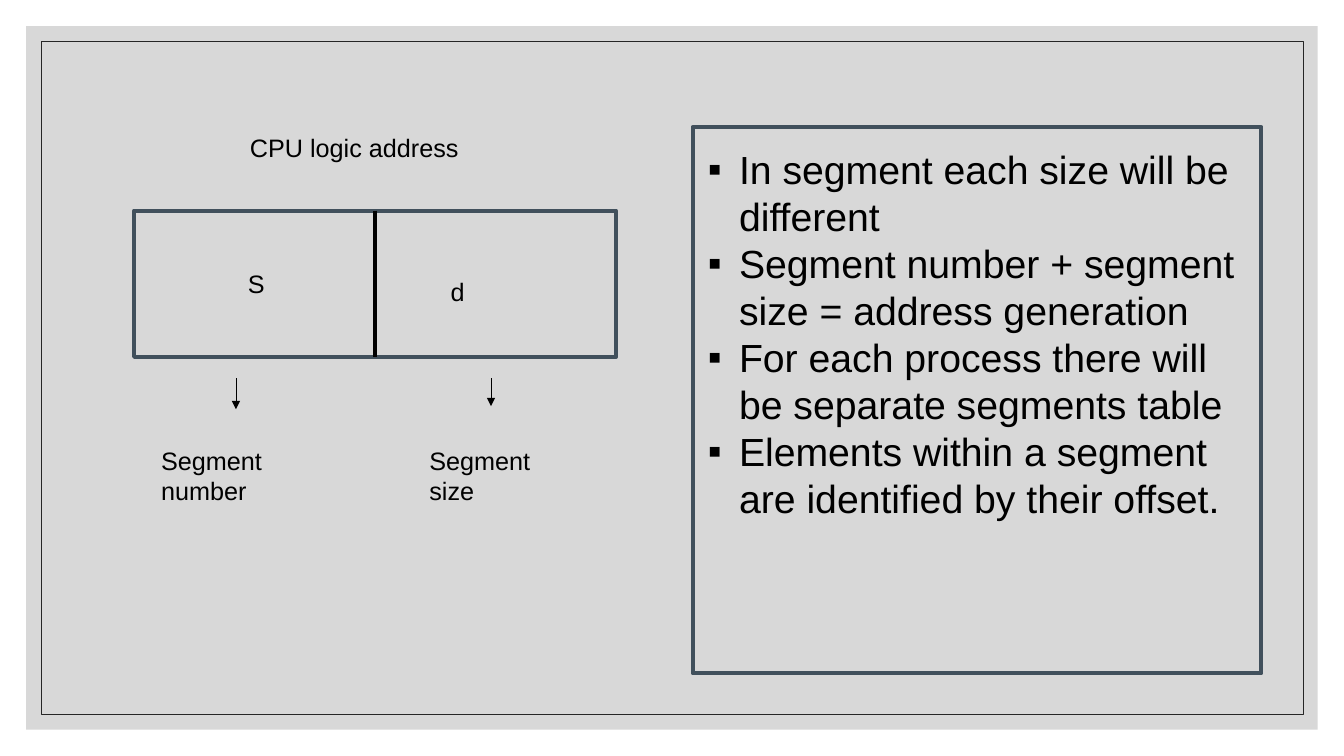
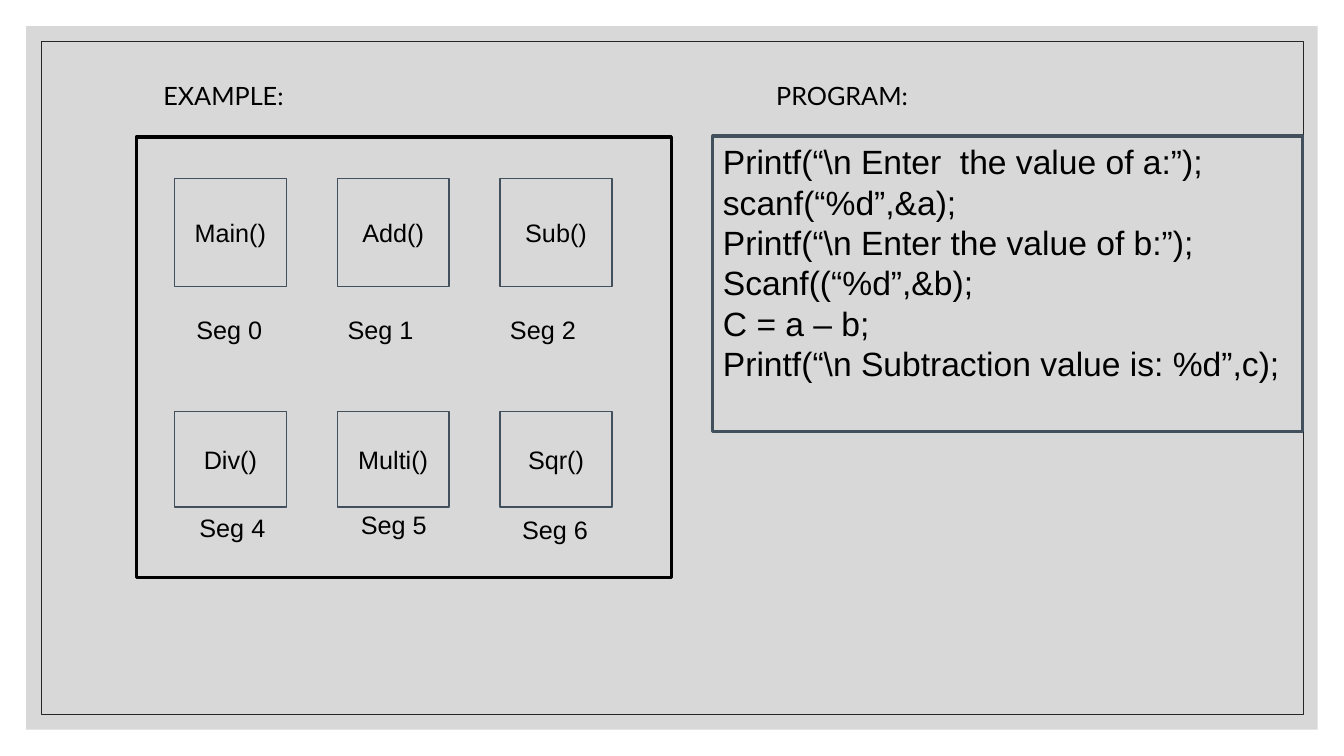
from lxml.etree import SubElement
from pptx import Presentation
from pptx.dml.color import RGBColor
from pptx.enum.shapes import MSO_CONNECTOR as Connector, MSO_SHAPE as Preset
from pptx.enum.text import MSO_ANCHOR as Anchor, MSO_AUTO_SIZE as AutoSize, PP_ALIGN as Align
from pptx.oxml.ns import qn
from pptx.util import Inches, Pt

COLORS = {"panel": "BFBFBF", "frame": "262626", "outline": "41505C", "text": "000000"}
BASE_FONT = "Lato"
TEXT_FONT = "Arial"


def color(name):
    return RGBColor.from_string(COLORS[name])


def inches(*lengths):
    return [Inches(length) for length in lengths]


def write_text(shape, lines, size=18, font=TEXT_FONT, align=Align.LEFT,
               anchor=Anchor.TOP, bullet=None, indent=0):
    frame = shape.text_frame
    frame.word_wrap = True
    frame.auto_size = AutoSize.NONE
    frame.vertical_anchor = anchor
    frame.text = "\n".join(lines)
    for paragraph in frame.paragraphs:
        paragraph.alignment = align
        paragraph.space_before = paragraph.space_after = Pt(0)
        paragraph.font.size = Pt(size)
        for run in paragraph.runs:
            run.font.size = Pt(size)
            run.font.name = font
            run.font.color.rgb = color("text")
        properties = paragraph._p.get_or_add_pPr()
        properties.set("marL", str(Inches(indent)))
        properties.set("indent", str(-Inches(indent)))
        mark = properties.makeelement(qn("a:buChar" if bullet else "a:buNone"))
        if bullet:
            mark.set("char", bullet)
        properties.insert_element_before(mark, "a:tabLst", "a:defRPr", "a:extLst")


class Deck:
    def __init__(self):
        self.presentation = Presentation()
        self.presentation.slide_width, self.presentation.slide_height = inches(13.33, 7.5)
        self.layout = self.presentation.slide_layouts[1]
        self.slide = None
        for part in (self.presentation, self.presentation.slide_master):
            for latin in part.element.xpath(".//a:latin"):
                latin.set("typeface", BASE_FONT)

    def add_slide(self):
        self.slide = self.presentation.slides.add_slide(self.layout)
        if len(self.presentation.slides) == 1:
            self.decorate_layout()

    def decorate_layout(self):
        panel = self.box(0.26, 0.26, 12.81, 6.98, line=None, fill="panel")
        alpha = SubElement(panel.element.xpath(".//a:solidFill/a:srgbClr")[0], qn("a:alpha"))
        alpha.set("val", "60000")
        frame = self.box(0.41, 0.41, 12.52, 6.68, line="frame", width=0.5)
        for position, shape in enumerate((panel, frame)):
            shape.element.xpath(".//p:cNvPr")[0].set("id", str(101 + position))
            self.layout.shapes.element.insert(2 + position, shape.element)

    def box(self, left, top, wide, high, line="outline", width=1.0, fill=None, text=None):
        shape = self.slide.shapes.add_shape(Preset.RECTANGLE, *inches(left, top, wide, high))
        shape.shadow.inherit = False
        if fill:
            shape.fill.solid()
            shape.fill.fore_color.rgb = color(fill)
        else:
            shape.fill.background()
        if line:
            shape.line.color.rgb = color(line)
            shape.line.width = Pt(width)
        else:
            shape.line.fill.background()
        if text:
            write_text(shape, [text], align=Align.CENTER, anchor=Anchor.MIDDLE)
        return shape

    def label(self, text, left, top, wide, high=0.4, **style):
        shape = self.slide.shapes.add_textbox(*inches(left, top, wide, high))
        write_text(shape, [text], **style)

    def placeholder(self, index, lines, left, top, wide, high, **style):
        shape = self.slide.placeholders[index]
        shape.left, shape.top, shape.width, shape.height = inches(left, top, wide, high)
        write_text(shape, lines, **style)

    def remove_title(self):
        title = self.slide.shapes.title.element
        title.getparent().remove(title)

    def connector(self, start, end, width=0.5, arrow=False):
        line = self.slide.shapes.add_connector(Connector.STRAIGHT, *inches(*start, *end))
        line.line.color.rgb = color("text")
        line.line.width = Pt(width)
        if arrow:
            SubElement(line.line._get_or_add_ln(), qn("a:tailEnd")).set("type", "triangle")
        SubElement(line.element.spPr, qn("a:effectLst"))
        return line


def build_address_slide(deck):
    deck.add_slide()
    deck.remove_title()
    address = deck.box(1.33, 2.09, 4.78, 1.45, width=3)
    divider = deck.connector((3.72, 2.09), (3.72, 3.54), width=2.25)
    divider.begin_connect(address, 0)
    divider.end_connect(address, 2)
    deck.label("CPU logic address", 2.38, 1.26, 4.28)
    deck.label("S", 2.36, 2.61, 1)
    deck.label("d", 4.37, 2.69, 1)
    for x, bottom in ((2.34, 4.06), (4.87, 4.03)):
        deck.connector((x, 3.75), (x, bottom), arrow=True)
    deck.label("Segment number", 1.5, 4.37, 1.76, 0.71)
    deck.label("Segment size", 4.16, 4.37, 1.48, 0.71)
    deck.box(6.87, 1.26, 5.64, 5.42, width=3)
    deck.placeholder(1, [
        "In segment each size will be different",
        "Segment number + segment size = address generation",
        "For each process there will be separate segments table",
        "Elements within a segment are identified by their offset.",
    ], 6.92, 1.39, 5.48, 5.59, size=28, bullet="▪", indent=0.31)


def build_example_slide(deck):
    deck.add_slide()
    deck.placeholder(0, ["EXAMPLE:"], 1.52, 0.75, 2.52, 0.4, font=BASE_FONT)
    deck.label("PROGRAM:", 7.6, 0.75, 3, font=BASE_FONT)
    deck.box(1.35, 1.36, 5.31, 4.37, line="text", width=2.25)
    rows = (
        (1.77, 1.07, (("Main()", "Seg 0", 1.85, 3.07),
                      ("Add()", "Seg 1", 3.35, 3.07),
                      ("Sub()", "Seg 2", 4.96, 3.07))),
        (4.08, 0.95, (("Div()", "Seg 4", 1.88, 5.03),
                      ("Multi()", "Seg 5", 3.48, 5),
                      ("Sqr()", "Seg 6", 5.08, 5.05))),
    )
    for top, high, segments in rows:
        for column, (function, segment, label_left, label_top) in enumerate(segments):
            deck.box(1.73 + 1.615 * column, top, 1.11, high, text=function)
            deck.label(segment, label_left, label_top, 1.03)
    deck.box(7.07, 1.35, 5.85, 2.93, width=2.25)
    deck.placeholder(1, [
        r"Printf(“\n Enter  the value of a:”);",
        "scanf(“%d”,&a);",
        r"Printf(“\n Enter the value of b:”);",
        "Scanf((“%d”,&b);",
        "C = a – b;",
        r"Printf(“\n Subtraction value is: %d”,c);",
    ], 7.07, 1.35, 5.86, 2.52, size=24, align=Align.JUSTIFY)


def main():
    deck = Deck()
    build_address_slide(deck)
    build_example_slide(deck)
    deck.presentation.save("out.pptx")


if __name__ == "__main__":
    main()
